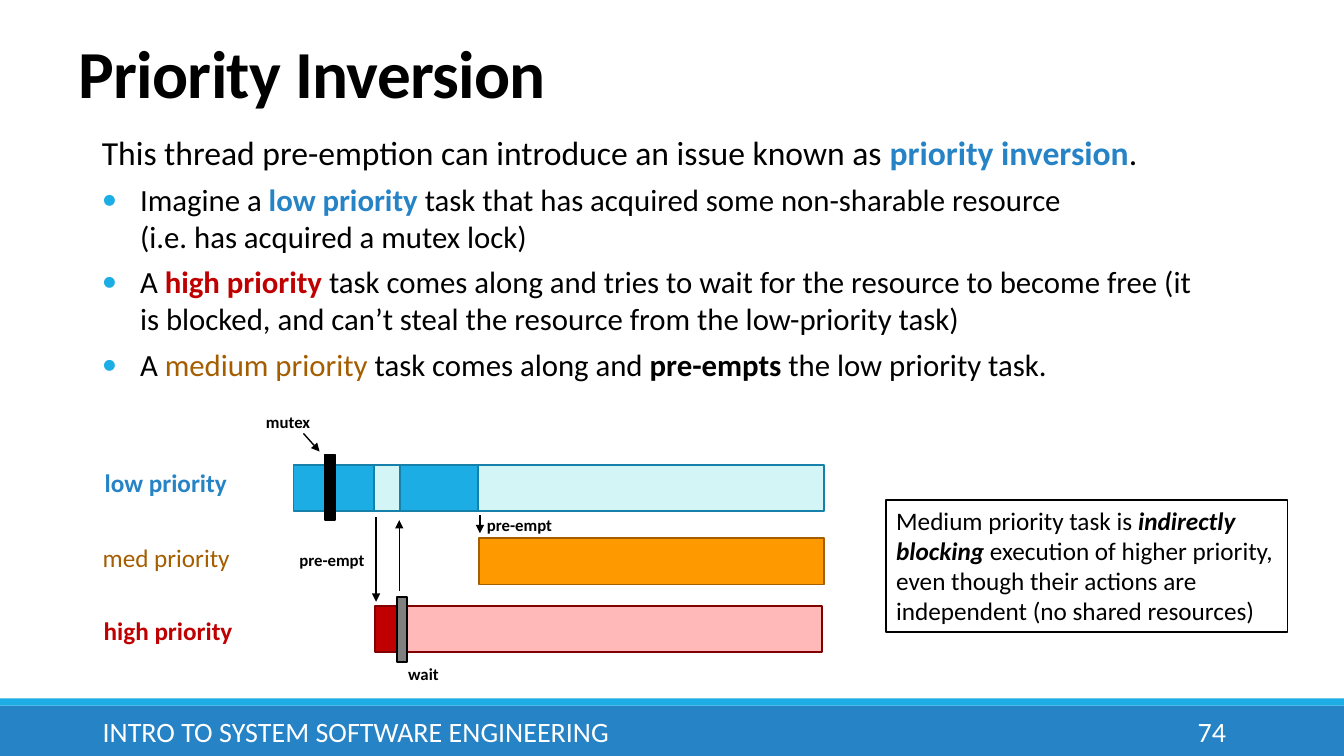
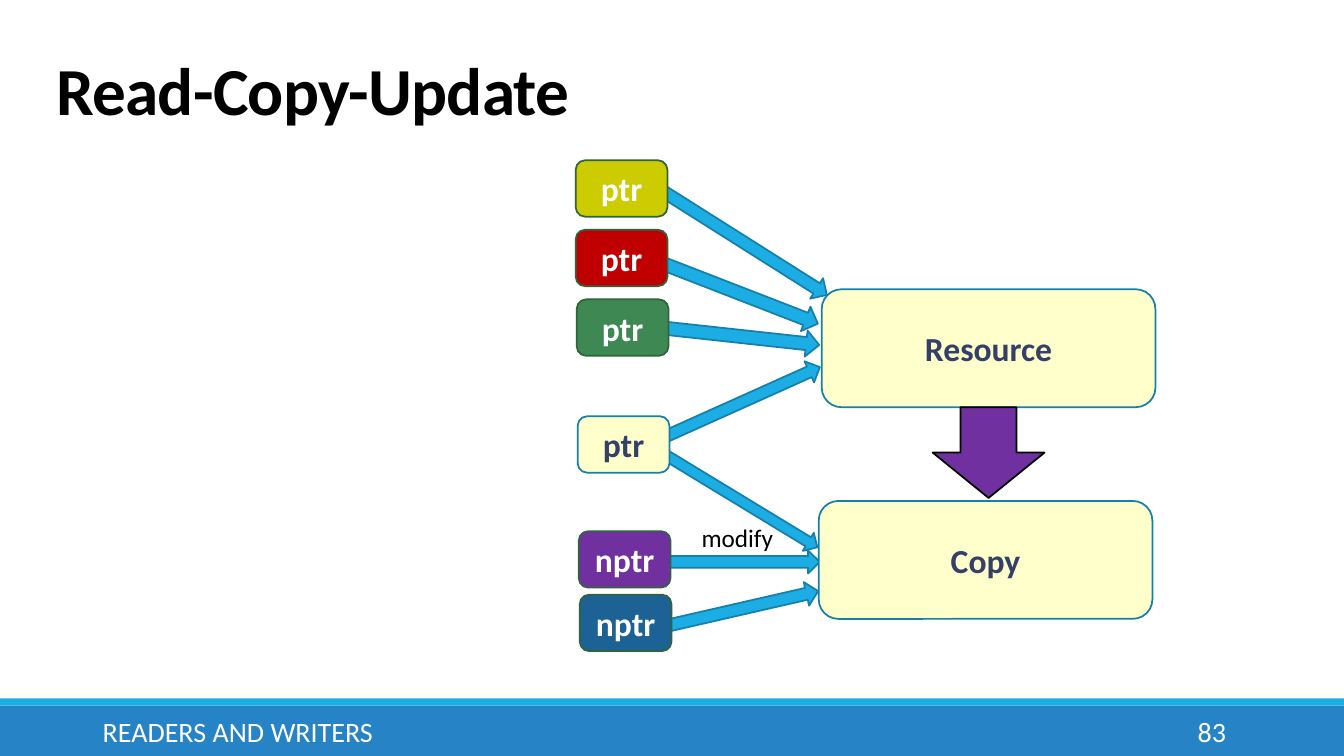
from lxml.etree import SubElement
from pptx import Presentation
from pptx.dml.color import RGBColor
from pptx.enum.shapes import MSO_CONNECTOR, MSO_SHAPE
from pptx.enum.text import MSO_ANCHOR, PP_ALIGN
from pptx.oxml.ns import qn
from pptx.util import Inches, Pt

FONT = "Calibri"
BLACK = RGBColor(0x00, 0x00, 0x00)
WHITE = RGBColor(0xFF, 0xFF, 0xFF)
GRAY = RGBColor(0x80, 0x80, 0x80)
BLUE = RGBColor(0x26, 0x83, 0xC6)
SKY = RGBColor(0x1C, 0xAD, 0xE4)
SKY_EDGE = RGBColor(0x15, 0x80, 0xA9)
PALE_SKY = RGBColor(0xD3, 0xF5, 0xF6)
RED = RGBColor(0xC0, 0x00, 0x00)
RED_EDGE = RGBColor(0x80, 0x00, 0x00)
PINK = RGBColor(0xFF, 0xB9, 0xB9)
ORANGE = RGBColor(0xFF, 0x99, 0x00)
BROWN = RGBColor(0xA4, 0x5E, 0x00)
CREAM = RGBColor(0xFF, 0xFF, 0xCC)
NAVY = RGBColor(0x34, 0x40, 0x68)
GREEN = RGBColor(0x3E, 0x88, 0x53)
GREEN_EDGE = RGBColor(0x2E, 0x65, 0x3D)
OLIVE = RGBColor(0xCC, 0xCC, 0x00)
PURPLE = RGBColor(0x70, 0x30, 0xA0)
DEEP_BLUE = RGBColor(0x1D, 0x62, 0x94)

PAGE_WIDTH, PAGE_HEIGHT = 13.33, 7.5


def add_span(para, text, size=18, color=BLACK, bold=False, italic=False, tracking=None):
    """Append formatted text to a paragraph, turning newlines into line breaks."""
    for index, line in enumerate(text.split("\n")):
        if index:
            para.add_line_break()
        span = para.add_run()
        span.text = line
        span.font.name = FONT
        span.font.size = Pt(size)
        span.font.color.rgb = color
        span.font.bold = bold
        span.font.italic = italic
        if tracking is not None:
            span._r.get_or_add_rPr().set("spc", str(round(tracking * 100)))


def add_text(page, left, top, width, height, text="", align=PP_ALIGN.LEFT,
             anchor=MSO_ANCHOR.TOP, wrap=True, **style):
    """Add a text box holding one formatted paragraph."""
    box = page.shapes.add_textbox(Inches(left), Inches(top), Inches(width), Inches(height))
    frame = box.text_frame
    frame.word_wrap = wrap
    frame.vertical_anchor = anchor
    para = frame.paragraphs[0]
    para.alignment = align
    if text:
        add_span(para, text, **style)
    return box


def add_box(page, left, top, width, height, fill, edge=None, kind=MSO_SHAPE.RECTANGLE,
            turn=0, text="", **style):
    """Add a filled preset shape, optionally outlined, turned and labelled."""
    box = page.shapes.add_shape(kind, Inches(left), Inches(top), Inches(width), Inches(height))
    box.shadow.inherit = False
    box.rotation = turn
    box.fill.solid()
    box.fill.fore_color.rgb = fill
    if edge is None:
        box.line.fill.background()
    else:
        box.line.color.rgb = edge
        box.line.width = Pt(1.25)
    if text:
        box.text_frame.vertical_anchor = MSO_ANCHOR.MIDDLE
        para = box.text_frame.paragraphs[0]
        para.alignment = PP_ALIGN.CENTER
        add_span(para, text, **style)
    return box


def add_arrow(page, x1, y1, x2, y2):
    """Add a thin black line with an arrowhead at its end."""
    arrow = page.shapes.add_connector(
        MSO_CONNECTOR.STRAIGHT, Inches(x1), Inches(y1), Inches(x2), Inches(y2))
    arrow.line.color.rgb = BLACK
    arrow.line.width = Pt(1)
    SubElement(arrow.line._get_or_add_ln(), qn("a:tailEnd"), type="triangle")
    SubElement(arrow._element.spPr, qn("a:effectLst"))


def add_bullet(para):
    """Give a paragraph a hanging sky-blue bullet."""
    props = para._p.get_or_add_pPr()
    props.set("marL", str(Inches(0.38)))
    props.set("indent", str(-Inches(0.38)))
    color = SubElement(props, qn("a:buClr"))
    SubElement(color, qn("a:srgbClr"), val=str(SKY))
    SubElement(props, qn("a:buFont"), typeface=FONT)
    SubElement(props, qn("a:buChar"), char="•")


def add_page(deck, title, left, top, footer, number):
    """Add a blank page with the bands, title, footer and page number."""
    page = deck.slides.add_slide(deck.slide_layouts[6])
    add_box(page, 0, 7, PAGE_WIDTH, 0.5, BLUE)
    add_box(page, 0, 6.93, PAGE_WIDTH, 0.07, SKY)
    heading = add_text(page, left, top, 11, 0.85, title, anchor=MSO_ANCHOR.BOTTOM,
                       size=48, bold=True, tracking=-0.5)
    heading.text_frame.paragraphs[0].line_spacing = 0.85
    add_text(page, 0.92, 7.06, 8.39, 0.4, footer, anchor=MSO_ANCHOR.MIDDLE,
             size=20, color=WHITE)
    add_text(page, 10.83, 7.06, 1.43, 0.4, number, align=PP_ALIGN.RIGHT,
             anchor=MSO_ANCHOR.MIDDLE, size=20, color=WHITE)
    return page


def add_explanation(page, left, top, width, height):
    """Add the lead sentence and the bullets on priority inversion."""
    blue = {"color": BLUE, "bold": True}
    red = {"color": RED, "bold": True}
    lines = [
        [("This thread pre-emption can introduce an issue known as ", {}),
         ("priority inversion", blue), (".", {})],
        [("Imagine a ", {}), ("low priority", blue),
         (" task that has acquired some non-sharable resource \n"
          "(i.e. has acquired a mutex lock)", {})],
        [("A ", {}), ("high priority ", red),
         ("task comes along and tries to wait for the resource to become free "
          "(it is blocked, and can’t steal the resource from the low-priority task)", {})],
        [("A ", {}), ("medium priority", {"color": BROWN}), (" task comes along and ", {}),
         ("pre-empts", {"bold": True}), (" the low priority task.", {})],
    ]
    frame = add_text(page, left, top, width, height).text_frame
    frame.margin_left = frame.margin_right = 0
    for index, spans in enumerate(lines):
        para = frame.add_paragraph() if index else frame.paragraphs[0]
        para.space_after = Pt(6)
        if index:
            add_bullet(para)
        for text, style in spans:
            add_span(para, text, size=22 if index else 24, **style)


def add_timeline(page, left, top):
    """Add the three priority lanes with their bars, markers and notes."""
    low, med, high = 0.57, 1.3, 1.97
    bar, marker = 0.46, 0.65
    bars = [
        (1.99, low, 3.42, bar, SKY, SKY_EDGE),
        (2.8, high, 2.97, bar, RED, RED_EDGE),
        (3.83, med, 3.42, bar, ORANGE, BROWN),
        (2.3, low - 0.1, 0.1, marker, BLACK, BLACK),
        (2.79, low, 0.26, bar, PALE_SKY, SKY_EDGE),
        (3.02, high, 4.21, bar, PINK, RED_EDGE),
        (3.02, high - 0.09, 0.1, marker, GRAY, BLACK),
        (3.82, low, 3.43, bar, PALE_SKY, SKY_EDGE),
    ]
    for x, y, width, height, fill, edge in bars:
        add_box(page, left + x, top + y, width, height, fill, edge)
    notes = [("mutex", 1.62, 0, 0.64), ("pre-empt", 1.95, 1.36, 0.86),
             ("wait", 3.03, 2.5, 0.51), ("pre-empt", 3.81, 1.02, 0.86)]
    for text, x, y, width in notes:
        add_text(page, left + x, top + y, width, 0.3, text, wrap=False, size=12, bold=True)
    arrows = [(2.09, 0.26, 2.25, 0.44), (2.81, 1.09, 2.81, 1.93),
              (3.04, 1.82, 3.04, 1.12), (3.84, 1.07, 3.84, 1.25)]
    for x1, y1, x2, y2 in arrows:
        add_arrow(page, left + x1, top + y1, left + x2, top + y2)
    lanes = [("low priority", 0.02, 0.55, 1.48, BLUE, True),
             ("med priority", 0, 1.29, 1.53, BROWN, False),
             ("high priority", 0.01, 2.02, 1.55, RED, True)]
    for text, x, y, width, color, bold in lanes:
        add_text(page, left + x, top + y, width, 0.4, text, wrap=False,
                 color=color, bold=bold)


def add_remark(page, left, top, width, height):
    """Add the framed remark on indirect blocking."""
    remark = add_box(page, left, top, width, height, WHITE, BLACK)
    frame = remark.text_frame
    frame.word_wrap = True
    frame.vertical_anchor = MSO_ANCHOR.TOP
    para = frame.paragraphs[0]
    para.alignment = PP_ALIGN.LEFT
    add_span(para, "Medium priority task is ")
    add_span(para, "indirectly blocking", bold=True, italic=True)
    add_span(para, " execution of higher priority, even though their actions are "
                   "independent (no shared resources)")


def add_pointer_diagram(page, left, top):
    """Add the pointers, the resource, its copy and the arrows between them."""
    arrows = [
        (0.5, 4.37, 1.93, 0.24, -12.9),
        (0.71, 0.7, 1.93, 0.24, 32.3),
        (0.82, 3.87, 1.6, 0.23, 0),
        (0.7, 3.26, 1.83, 0.21, 31.3),
        (0.73, 2.3, 1.77, 0.23, -24.2),
        (0.74, 1.18, 1.72, 0.26, 21.2),
        (0.7, 1.61, 1.72, 0.26, 6.2),
    ]
    for x, y, width, height, turn in arrows:
        add_box(page, left + x, top + y, width, height, SKY, SKY_EDGE,
                MSO_SHAPE.RIGHT_ARROW, turn)
    pointer, block = (0.91, 0.56), (3.31, 1.17)
    nodes = [
        ("ptr", 0, 0, pointer, OLIVE, GREEN_EDGE, WHITE),
        ("ptr", 0, 0.69, pointer, RED, GREEN_EDGE, WHITE),
        ("ptr", 0.01, 1.38, pointer, GREEN, GREEN_EDGE, WHITE),
        ("ptr", 0.02, 2.54, pointer, CREAM, SKY_EDGE, NAVY),
        ("nptr", 0.03, 3.68, pointer, PURPLE, GREEN_EDGE, WHITE),
        ("nptr", 0.04, 4.31, pointer, DEEP_BLUE, GREEN_EDGE, WHITE),
        ("Resource", 2.44, 1.28, block, CREAM, SKY_EDGE, NAVY),
        ("Copy", 2.41, 3.38, block, CREAM, SKY_EDGE, NAVY),
    ]
    for text, x, y, (width, height), fill, edge, color in nodes:
        add_box(page, left + x, top + y, width, height, fill, edge,
                MSO_SHAPE.ROUNDED_RECTANGLE, text=text, size=24, color=color, bold=True)
    add_box(page, left + 3.54, top + 2.45, 1.11, 0.9, PURPLE, BLACK, MSO_SHAPE.DOWN_ARROW)
    add_text(page, left + 1.15, top + 3.54, 0.92, 0.4, "modify", wrap=False)


def main():
    """Build both pages and save the deck."""
    deck = Presentation()
    deck.slide_width = Inches(PAGE_WIDTH)
    deck.slide_height = Inches(PAGE_HEIGHT)

    page = add_page(deck, "Priority Inversion", 0.68, 0.31,
                    "INTRO TO SYSTEM SOFTWARE ENGINEERING", "74")
    add_explanation(page, 1.01, 1.26, 11, 3.1)
    add_timeline(page, 0.92, 4.04)
    add_remark(page, 8.79, 4.96, 3.98, 1.31)

    page = add_page(deck, "Read-Copy-Update", 0.46, 0.48, "READERS AND WRITERS", "83")
    add_pointer_diagram(page, 5.71, 1.59)

    deck.save("out.pptx")


if __name__ == "__main__":
    main()
